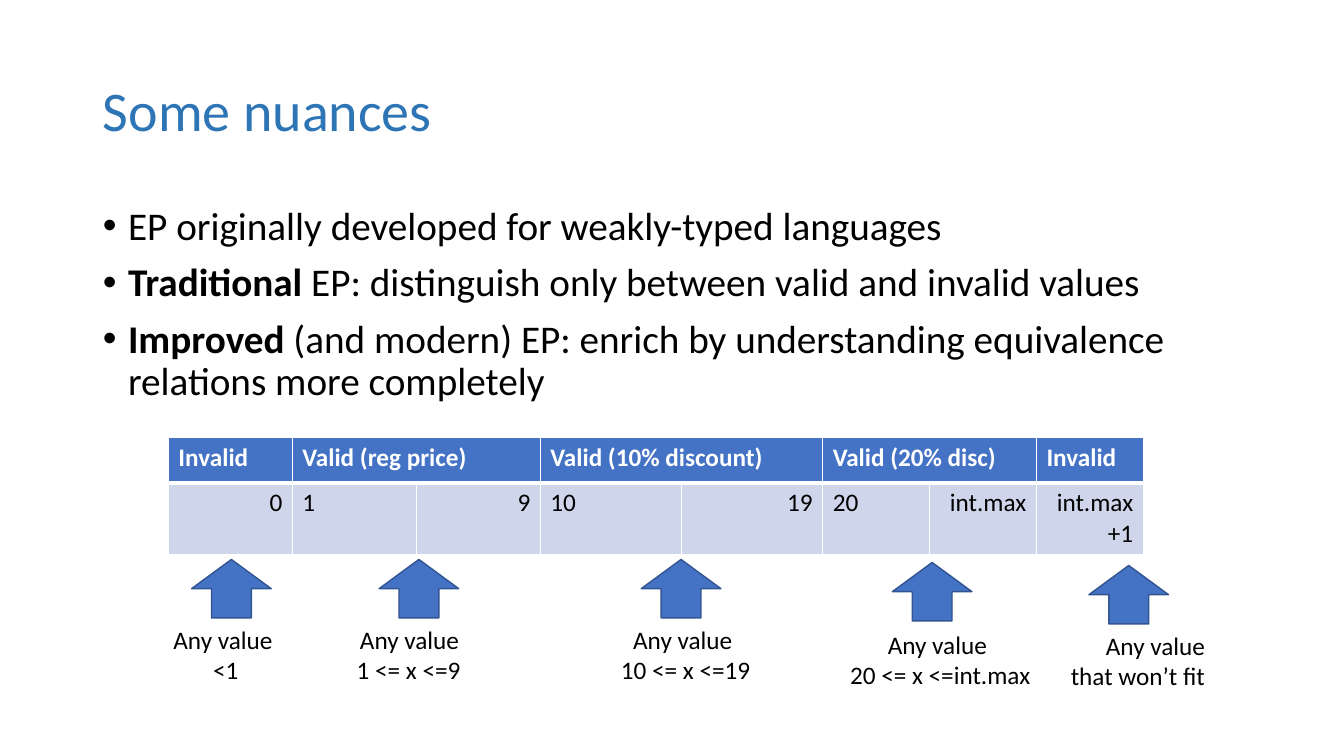
from pptx import Presentation
from pptx import util as u
from pptx.dml.color import RGBColor
from pptx.enum import shapes, text
from pptx.oxml import parse_xml
from pptx.oxml.ns import nsdecls

LEFT, MID, RIGHT = text.PP_ALIGN.LEFT, text.PP_ALIGN.CENTER, text.PP_ALIGN.RIGHT


class Theme:
    font = "Calibri"
    title, body, small = 40, 28, 18
    blue, edge, pale = "4472C4", "325491", "CFD5EA"
    head, ink, white = "2E75B6", "000000", "FFFFFF"


class Deck:
    def __init__(self, theme):
        self.theme = theme
        self.prs = Presentation()
        self.prs.slide_width = u.Inches(13.33)
        self.prs.slide_height = u.Inches(7.5)
        self.slide = self.prs.slides.add_slide(self.prs.slide_layouts[1])

    def run(self, para, words, size, color, bold=False):
        run = para.add_run()
        run.text = words
        font = run.font
        font.name, font.size, font.bold = self.theme.font, u.Pt(size), bold
        font.color.rgb = RGBColor.from_string(color)

    def place(self, shape, box):
        shape.left, shape.top, shape.width, shape.height = map(u.Inches, box)
        shape.text_frame.auto_size = text.MSO_AUTO_SIZE.NONE
        return shape.text_frame

    def title(self, words, box):
        frame = self.place(self.slide.shapes.title, box)
        frame.vertical_anchor = text.MSO_ANCHOR.MIDDLE
        para = frame.paragraphs[0]
        para.alignment, para.line_spacing = LEFT, 0.9
        self.run(para, words, self.theme.title, self.theme.head)

    def bullets(self, items, box):
        """Fill the body with items, each a bold lead and plain words."""
        frame = self.place(self.slide.placeholders[1], box)
        for i, (lead, rest) in enumerate(items):
            para = frame.add_paragraph() if i else frame.paragraphs[0]
            para.line_spacing, para.space_before = 0.9, u.Pt(10)
            props = para._p.get_or_add_pPr()
            props.set("marL", str(u.Inches(0.25)))
            props.set("indent", str(u.Inches(-0.25)))
            props.append(parse_xml(f'<a:buFont {nsdecls("a")} typeface="Arial"/>'))
            props.append(parse_xml(f'<a:buChar {nsdecls("a")} char="•"/>'))
            if lead:
                self.run(para, lead, self.theme.body, self.theme.ink, True)
            self.run(para, rest, self.theme.body, self.theme.ink)

    def cell(self, cell, words, align, fill, color, bold, edges):
        """Style one cell; edges gives border widths in points by side."""
        props = cell._tc.get_or_add_tcPr()
        for side, width in edges.items():
            props.append(parse_xml(
                f'<a:ln{side} {nsdecls("a")} w="{u.Pt(width)}"><a:solidFill>'
                f'<a:srgbClr val="{self.theme.white}"/></a:solidFill></a:ln{side}>'))
        cell.fill.solid()
        cell.fill.fore_color.rgb = RGBColor.from_string(fill)
        para = cell.text_frame.paragraphs[0]
        para.alignment = align
        if words:
            self.run(para, words, self.theme.small, color, bold)

    def table(self, heads, values, cols, rows, left, top):
        """heads holds (label, first column, last column)."""
        look = self.theme
        box = map(u.Inches, (left, top, sum(cols), sum(rows)))
        grid = self.slide.shapes.add_table(2, len(cols), *box).table
        for col, width in zip(grid.columns, cols):
            col.width = u.Inches(width)
        for row, height in zip(grid.rows, rows):
            row.height = u.Inches(height)
        for label, first, last in heads:
            for c in range(first, last + 1):
                self.cell(grid.cell(0, c), label if c == first else "", LEFT,
                          look.blue, look.white, True,
                          {"L": 1, "R": 1, "T": 1, "B": 3})
            if last > first:
                grid.cell(0, first).merge(grid.cell(0, last))
        for c, (words, align) in enumerate(values):
            self.cell(grid.cell(1, c), words, align, look.pale, look.ink, False,
                      {"L": 1, "R": 1, "T": 3, "B": 1})

    def arrow(self, left, top):
        box = map(u.Inches, (left, top, 0.79, 0.58))
        shape = self.slide.shapes.add_shape(shapes.MSO_SHAPE.UP_ARROW, *box)
        shape.shadow.inherit = False
        shape.fill.solid()
        shape.fill.fore_color.rgb = RGBColor.from_string(self.theme.blue)
        shape.line.color.rgb = RGBColor.from_string(self.theme.edge)
        shape.line.width = u.Pt(1)

    def note(self, lines, left, top, width, wrap=False):
        """Add a caption; lines holds (words, alignment)."""
        box = map(u.Inches, (left, top, width, 0.71))
        frame = self.slide.shapes.add_textbox(*box).text_frame
        frame.word_wrap = wrap
        frame.auto_size = text.MSO_AUTO_SIZE.SHAPE_TO_FIT_TEXT
        for i, (words, align) in enumerate(lines):
            para = frame.add_paragraph() if i else frame.paragraphs[0]
            para.alignment = align
            self.run(para, words, self.theme.small, self.theme.ink)


def main():
    deck = Deck(Theme)
    deck.table(
        [("Invalid", 0, 0), ("Valid (reg price)", 1, 2),
         ("Valid (10% discount)", 3, 4), ("Valid (20% disc)", 5, 6),
         ("Invalid", 7, 7)],
        [("0", RIGHT), ("1", LEFT), ("9", RIGHT), ("10", LEFT), ("19", RIGHT),
         ("20", LEFT), ("int.max", RIGHT), ("int.max+1", RIGHT)],
        [1.23] * 3 + [1.4] * 2 + [1.06] * 3, [0.45, 0.7], 1.67, 4.34)
    deck.title("Some nuances", (0.92, 0.4, 11.5, 1.45))
    deck.bullets(
        [("", "EP originally developed for weakly-typed languages"),
         ("Traditional ", "EP: distinguish only between valid and invalid values"),
         ("Improved ", "(and modern) EP: enrich by understanding equivalence "
                       "relations more completely")],
        (0.92, 2, 11.5, 4.76))

    # arrow left and top, caption left, top and width, range, its alignment
    marks = [(1.9, 5.55, 1.59, 6.14, 1.3, "<1", MID),
             (3.76, 5.55, 3.44, 6.14, 1.3, "1 <= x <=9", LEFT),
             (6.36, 5.55, 6.05, 6.14, 1.5, "10 <= x <=19", MID),
             (8.85, 5.58, 8.32, 6.19, 2.01, "20 <= x <=int.max", MID)]
    for x, y, left, top, width, span, align in marks:
        deck.arrow(x, y)
        deck.note([("Any value ", MID), (span, align)], left, top, width)
    deck.arrow(10.8, 5.61)
    deck.note([("Any value that won’t fit", RIGHT)], 10.49, 6.2, 1.56, True)
    deck.prs.save("out.pptx")


if __name__ == "__main__":
    main()
